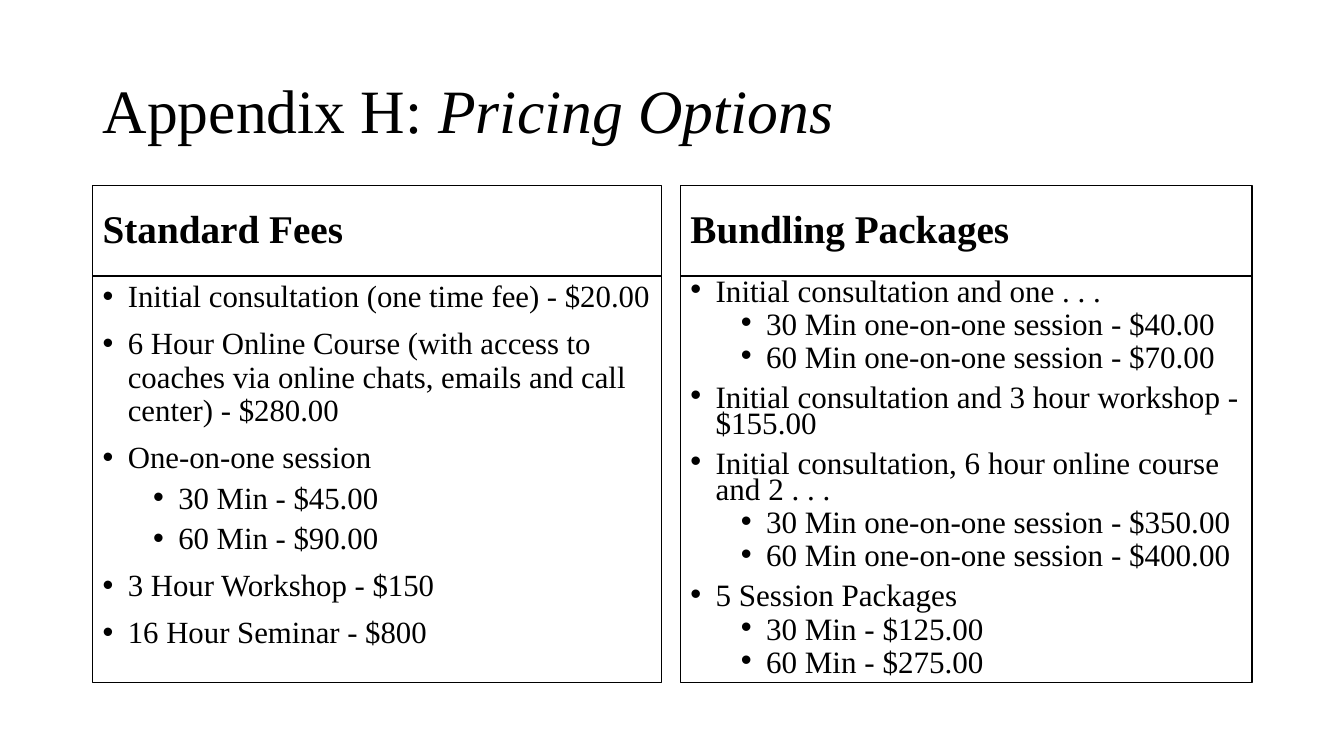
from lxml.etree import SubElement
from pptx import Presentation
from pptx.dml.color import RGBColor
from pptx.enum.shapes import MSO_SHAPE as Preset
from pptx.enum.text import MSO_ANCHOR as Anchor, PP_ALIGN as Align
from pptx.oxml.ns import qn
from pptx.util import Inches, Pt

FONT = "Times New Roman"
BLACK, WHITE = "000000", "FFFFFF"
LEFT, HEADING_TOP, HEADING_HEIGHT, LIST_HEIGHT = 0.92, 1.84, 0.9, 4.03

STANDARD_FEES = [
    (0, "Initial consultation (one time fee) - $20.00"),
    (0, "6 Hour Online Course (with access to coaches via online chats, "
        "emails and call center) - $280.00"),
    (0, "One-on-one session"),
    (1, "30 Min - $45.00"),
    (1, "60 Min - $90.00"),
    (0, "3 Hour Workshop - $150"),
    (0, "16 Hour Seminar - $800"),
]
BUNDLES = [
    (0, "Initial consultation and one . . ."),
    (1, "30 Min one-on-one session - $40.00"),
    (1, "60 Min one-on-one session - $70.00"),
    (0, "Initial consultation and 3 hour workshop - $155.00"),
    (0, "Initial consultation, 6 hour online course and 2 . . ."),
    (1, "30 Min one-on-one session - $350.00"),
    (1, "60 Min one-on-one session - $400.00"),
    (0, "5 Session Packages"),
    (1, "30 Min - $125.00"),
    (1, "60 Min - $275.00"),
]


def color(value):
    """Turn a hex string into a colour."""
    return RGBColor.from_string(value)


def apply(target, formats):
    """Set every attribute named in a dict of format values."""
    for name, value in formats.items():
        setattr(target, name, value)


def add_words(paragraph, words, size, **style):
    """Append one run of styled text to a paragraph."""
    run = paragraph.add_run()
    run.text = words
    apply(run.font, {"name": FONT, "size": Pt(size), **style})
    run.font.color.rgb = color(BLACK)


def add_panel(slide, left, top, width, height, anchor):
    """Draw a white bordered rectangle and return its text frame."""
    panel = slide.shapes.add_shape(
        Preset.RECTANGLE, Inches(left), Inches(top), Inches(width), Inches(height))
    panel.shadow.inherit = False
    panel.fill.solid()
    panel.fill.fore_color.rgb = color(WHITE)
    panel.line.color.rgb = color(BLACK)
    panel.line.width = Pt(1)
    apply(panel.text_frame, {"word_wrap": True, "vertical_anchor": anchor})
    return panel.text_frame


def add_bullet(paragraph, level):
    """Give a paragraph a round bullet with a hanging indent."""
    properties = paragraph._p.get_or_add_pPr()
    properties.set("marL", str(Inches(0.25 + 0.5 * level)))
    properties.set("indent", str(Inches(-0.25)))
    SubElement(properties, qn("a:buFont"), typeface="Arial")
    SubElement(properties, qn("a:buChar"), char="•")


def add_title(slide, label, topic):
    """Write the slide title with its topic in italics."""
    title = slide.shapes.add_textbox(
        Inches(LEFT), Inches(0.4), Inches(11.5), Inches(1.45)).text_frame
    apply(title, {"word_wrap": True, "vertical_anchor": Anchor.MIDDLE})
    heading = title.paragraphs[0]
    heading.line_spacing = 0.9
    add_words(heading, label, 44)
    add_words(heading, topic, 44, italic=True)


def add_price_column(slide, left, width, heading, prices, size, spacing):
    """Draw a heading panel with its bulleted price list below."""
    header = add_panel(slide, left, HEADING_TOP, width, HEADING_HEIGHT, Anchor.MIDDLE)
    caption = header.paragraphs[0]
    apply(caption, {"alignment": Align.LEFT, "line_spacing": 0.9})
    add_words(caption, heading, 28, bold=True)

    price_list = add_panel(
        slide, left, HEADING_TOP + HEADING_HEIGHT, width, LIST_HEIGHT, Anchor.TOP)
    for index, (level, words) in enumerate(prices):
        entry = price_list.add_paragraph() if index else price_list.paragraphs[0]
        add_bullet(entry, level)
        space = (5 if level else 10) if index else 0
        apply(entry, {"level": level, "alignment": Align.LEFT,
                      "line_spacing": spacing, "space_before": Pt(space)})
        add_words(entry, words, size)


def main():
    """Build the pricing slide and save it."""
    deck = Presentation()
    apply(deck, {"slide_width": Inches(13.33), "slide_height": Inches(7.5)})
    slide = deck.slides.add_slide(deck.slide_layouts[6])
    add_title(slide, "Appendix H: ", "Pricing Options")
    add_price_column(slide, LEFT, 5.64, "Standard Fees", STANDARD_FEES, 22, 0.9)
    add_price_column(slide, 6.75, 5.67, "Bundling Packages", BUNDLES, 22.2, 0.7)
    deck.save("out.pptx")


if __name__ == "__main__":
    main()
